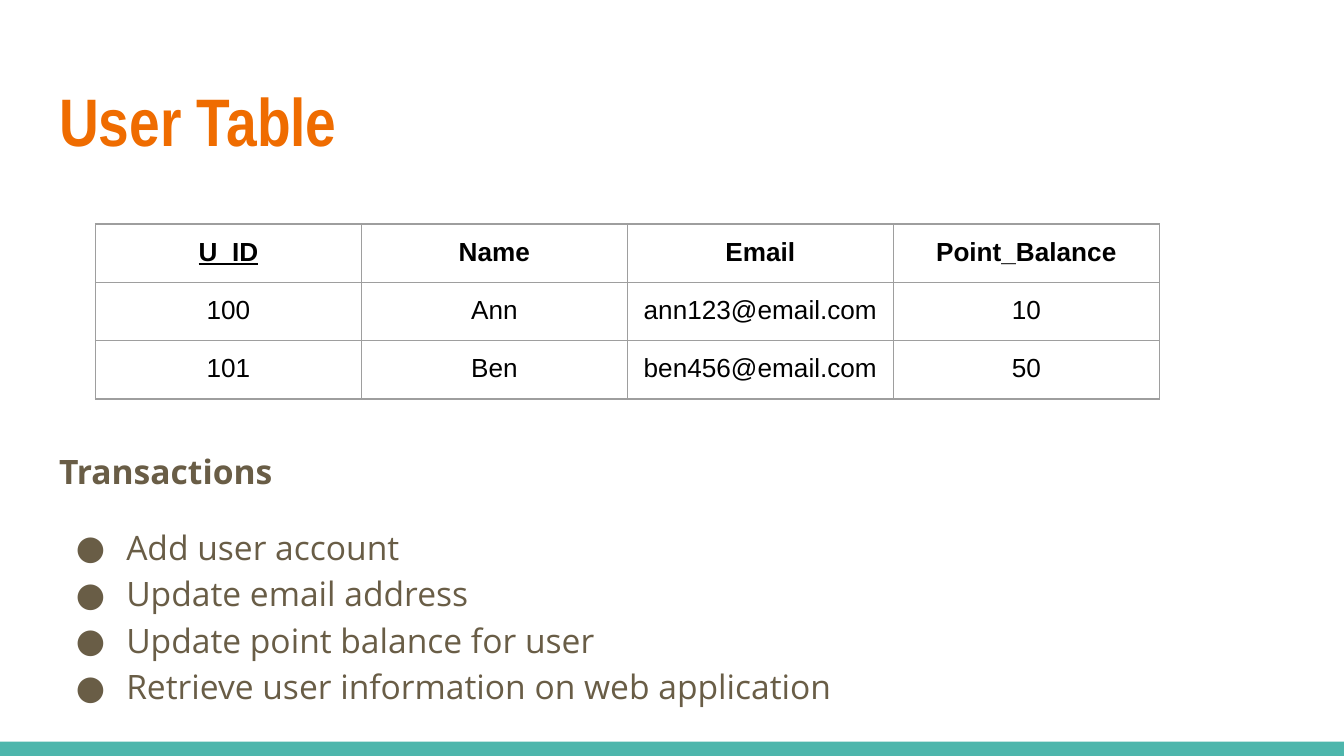
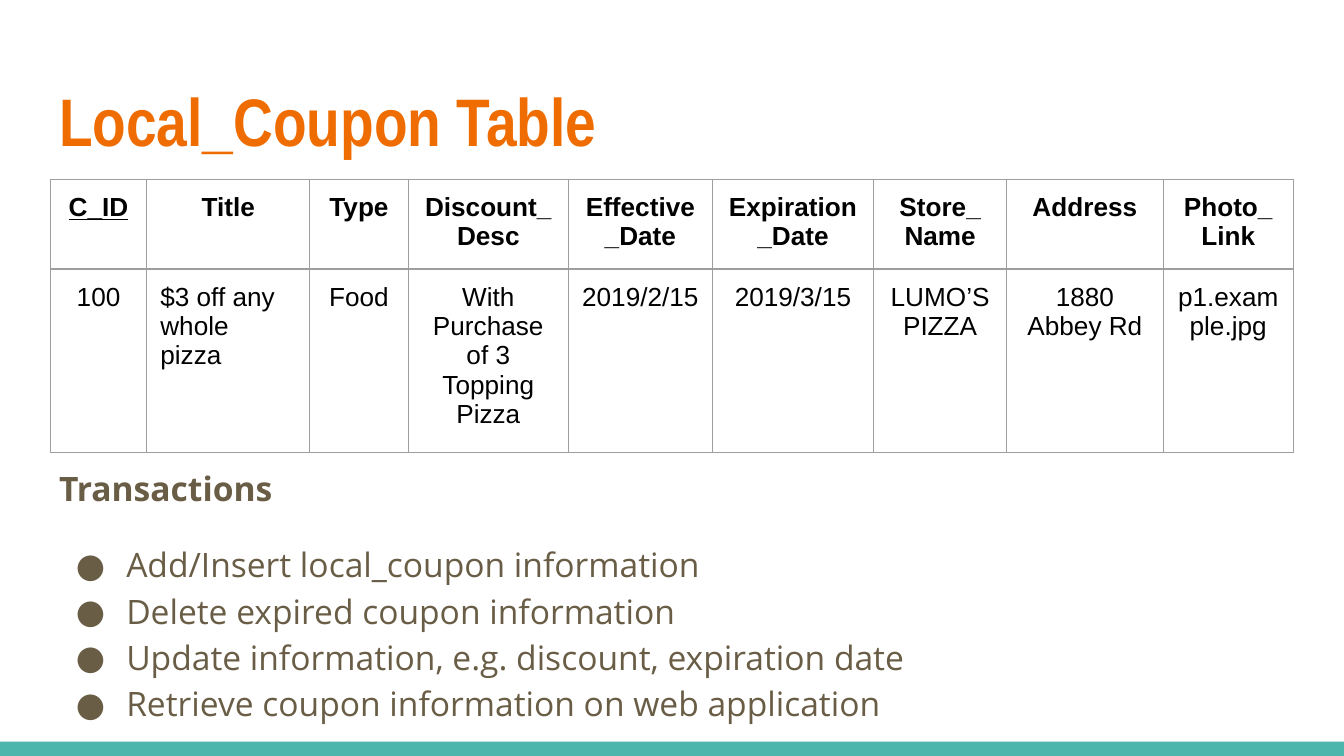
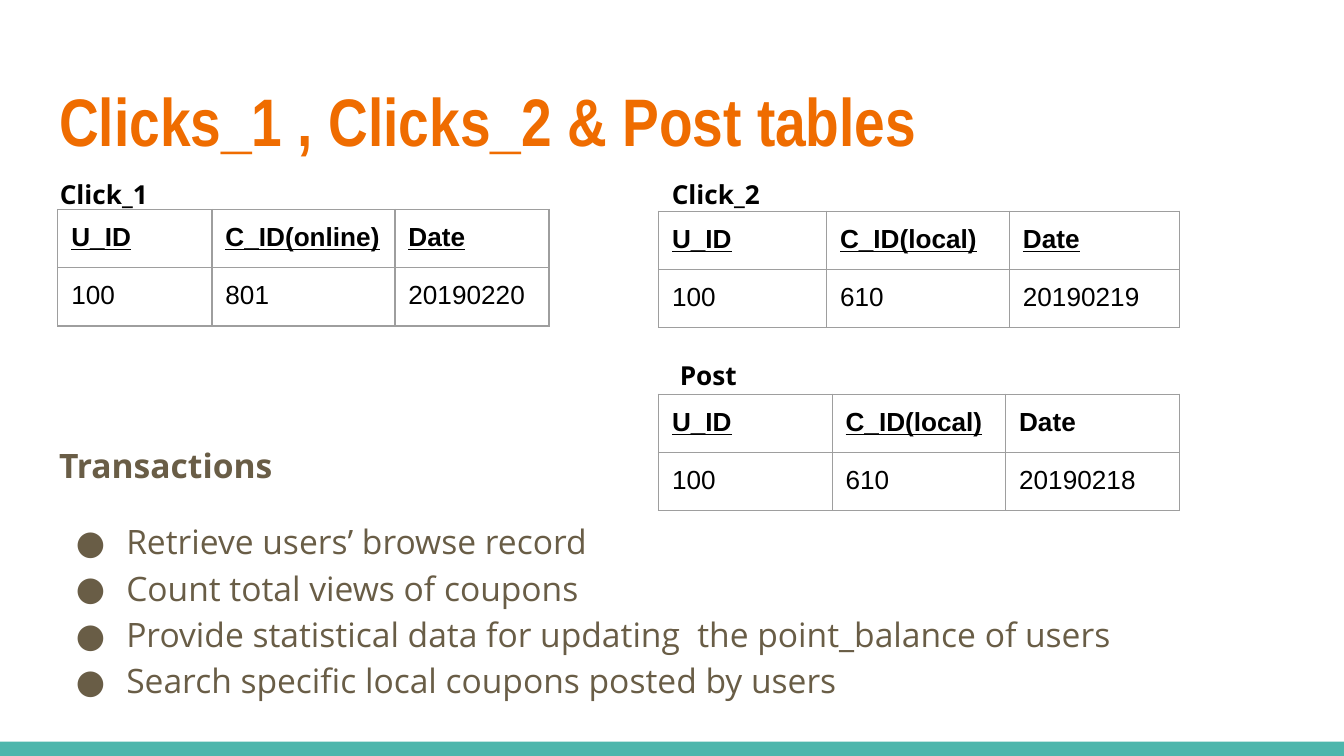
"""Build three slides on the coupon database tables and their transactions."""
from collections import namedtuple
from dataclasses import dataclass

from lxml import etree
from pptx import Presentation
from pptx.dml.color import RGBColor
from pptx.enum import shapes, text
from pptx.oxml import ns
from pptx.util import Pt

Box = namedtuple("Box", "x y w h")


@dataclass(frozen=True)
class Theme:
    """Hold the colours, fonts and sizes the slides share."""
    band: str = "4DB6AC"
    title: str = "EF6C00"
    body: str = "695D46"
    ink: str = "000000"
    rule: str = "9E9E9E"
    title_font: str = "Arial Narrow"
    body_font: str = "Open Sans"
    table_font: str = "Arial"
    title_size: int = 36
    body_size: int = 18
    small_size: int = 14
    inset: float = 7.2
    rule_width: float = 0.75
    row_height: float = 30.24


T = Theme()
PAGE = Box(0, 0, 720, 405)
TITLE = Box(24.55, 35.5, 671, 55.5)


def sub(parent, tag, **attrs):
    """Append a child element in the drawing namespace."""
    return etree.SubElement(parent, ns.qn(tag), attrs)


def style(p, font, size, color, bold=False, underline=False):
    """Format every run of a paragraph, in all scripts."""
    for r in p.runs:
        r.font.name, r.font.size = font, Pt(size)
        r.font.bold, r.font.underline = bold, underline
        r.font.color.rgb = RGBColor.from_string(color)
        for script in ("a:ea", "a:cs"):
            sub(r._r.get_or_add_rPr(), script, typeface=font)


def add_text(slide, box, content):
    """Add a wrapping text box and return its text frame."""
    tf = slide.shapes.add_textbox(*map(Pt, box)).text_frame
    tf.word_wrap = True
    tf.margin_left = tf.margin_right = Pt(T.inset)
    tf.margin_top = tf.margin_bottom = Pt(T.inset)
    tf.text = content
    return tf


def add_band(slide, box):
    """Draw the footer band along the bottom of the box."""
    height = 7.7
    sp = slide.shapes.add_shape(
        shapes.MSO_SHAPE.RECTANGLE, Pt(box.x), Pt(box.y + box.h - height), Pt(box.w), Pt(height))
    sp.shadow.inherit = False
    sp.fill.solid()
    sp.fill.fore_color.rgb = RGBColor.from_string(T.band)
    sp.line.fill.background()


def add_title(slide, box, content):
    """Write the slide title."""
    tf = add_text(slide, box, content)
    style(tf.paragraphs[0], T.title_font, T.title_size, T.title, bold=True)


def add_label(slide, box, content):
    """Write a small bold table caption."""
    tf = add_text(slide, box, content)
    style(tf.paragraphs[0], T.body_font, T.small_size, T.ink, bold=True)


def add_bullet(p):
    """Give a paragraph a hanging round bullet."""
    pPr = p._p.get_or_add_pPr()
    pPr.set("marL", str(Pt(36)))
    pPr.set("indent", str(-Pt(27)))
    sub(sub(pPr, "a:buClr"), "a:srgbClr", val=T.body)
    sub(pPr, "a:buFont", typeface=T.body_font)
    sub(pPr, "a:buChar", char="●")


def add_transactions(slide, box, items):
    """Write the Transactions heading and its bullet list."""
    tf = add_text(slide, box, "\n".join(["Transactions", *items]))
    for i, p in enumerate(tf.paragraphs):
        p.line_spacing = 1.15
        p.space_before = Pt(16 if i == 1 else 0)
        style(p, T.body_font, T.body_size, T.body, bold=i == 0)
        if i:
            add_bullet(p)


def format_cell(cell, align, bold, underline):
    """Set the borders, margins and type of a table cell."""
    tcPr = cell._tc.get_or_add_tcPr()
    for side in "LRTB":
        ln = sub(tcPr, f"a:ln{side}", w=str(Pt(T.rule_width)))
        sub(sub(ln, "a:solidFill"), "a:srgbClr", val=T.rule)
    cell.fill.background()
    cell.margin_left = cell.margin_right = Pt(T.inset)
    cell.margin_top = cell.margin_bottom = Pt(T.inset)
    for p in cell.text_frame.paragraphs:
        p.alignment = align
        p.line_spacing = 1.0
        style(p, T.table_font, T.small_size, T.ink, bold, underline)


def add_grid(slide, x, y, widths, rows, keys=1, centered=True, left=()):
    """Add a table whose first columns are underlined keys."""
    tbl = slide.shapes.add_table(
        len(rows), len(widths), Pt(x), Pt(y), Pt(sum(widths)), Pt(T.row_height * len(rows))).table
    tbl.first_row = tbl.horz_banding = False
    for col, width in zip(tbl.columns, widths):
        col.width = Pt(width)
    for i, row in enumerate(rows):
        tbl.rows[i].height = Pt(T.row_height)
        for j, value in enumerate(row):
            cell = tbl.cell(i, j)
            cell.text_frame.text = value
            center = centered and (i, j) not in left
            align = text.PP_ALIGN.CENTER if center else text.PP_ALIGN.LEFT
            format_cell(cell, align, i == 0, i == 0 and j < keys)


def add_captioned(slide, box, caption, dx, gap, widths, rows, keys):
    """Place a caption above a left-aligned table at the box's corner."""
    add_label(slide, Box(box.x + dx, box.y - gap, box.w, box.h), caption)
    add_grid(slide, box.x, box.y, widths, rows, keys, centered=False)


def new_slide(prs, title, title_box=TITLE):
    """Start a blank slide with its band and title."""
    slide = prs.slides.add_slide(prs.slide_layouts[6])
    add_band(slide, PAGE)
    add_title(slide, title_box, title)
    return slide


def user_slide(prs):
    """Build the User table slide."""
    slide = new_slide(prs, "User Table")
    add_transactions(slide, TITLE._replace(y=231, h=143), [
        "Add user account",
        "Update email address",
        "Update point balance for user",
        "Retrieve user information on web application",
    ])
    add_grid(slide, 51.1, 120, [142.5] * 4, [
        ["U_ID", "Name", "Email", "Point_Balance"],
        ["100", "Ann", "ann123@email.com", "10"],
        ["101", "Ben", "ben456@email.com", "50"],
    ])


def coupon_slide(prs):
    """Build the Local_Coupon table slide."""
    slide = new_slide(prs, "Local_Coupon Table", TITLE._replace(w=312))
    widths = [51.8, 87.3, 52.7, 85.9, 77.1, 86.4, 71.3, 83.8, 69.8]
    add_grid(slide, 26.9, 96, widths, [
        ["C_ID", "Title", "Type", "Discount_Desc", "Effective_Date", "Expiration_Date",
         "Store_\nName", "Address", "Photo_Link"],
        ["100", "$3 off any whole pizza", "Food", "With Purchase of 3 Topping Pizza",
         "2019/2/15", "2019/3/15", "LUMO’S\nPIZZA", "1880 Abbey Rd", "p1.example.jpg"],
    ], left={(1, 1)})
    add_transactions(slide, TITLE._replace(y=240.3, h=111), [
        "Add/Insert local_coupon information",
        "Delete expired coupon information",
        "Update information, e.g. discount, expiration date",
        "Retrieve coupon information on web application",
    ])


def clicks_slide(prs):
    """Build the slide of the two click tables and the post table."""
    slide = new_slide(prs, "Clicks_1 , Clicks_2 & Post tables")
    add_transactions(slide, TITLE._replace(y=228, h=155), [
        "Retrieve users’ browse record",
        "Count total views of coupons",
        "Provide statistical data for updating  the point_balance of users",
        "Search specific local coupons posted by users",
    ])
    tables = [
        (Box(31, 112.2, 98.6, 23.8), "Click_1", -6, 23.6, [82.6, 98, 82.6], 3,
         "C_ID(online)", ["100", "801", "20190220"]),
        (Box(352.8, 113.2, 73.4, 16.6), "Click_2", 0, 24.6, [90, 98, 91], 3,
         "C_ID(local)", ["100", "610", "20190219"]),
        (Box(352.8, 211.2, 69.1, 23.8), "Post", 4.3, 25.6, [93] * 3, 2,
         "C_ID(local)", ["100", "610", "20190218"]),
    ]
    for box, caption, dx, gap, widths, keys, coupon_key, record in tables:
        rows = [["U_ID", coupon_key, "Date"], record]
        add_captioned(slide, box, caption, dx, gap, widths, rows, keys)


def main():
    """Build and save the presentation."""
    prs = Presentation()
    prs.slide_width, prs.slide_height = Pt(PAGE.w), Pt(PAGE.h)
    for build in (user_slide, coupon_slide, clicks_slide):
        build(prs)
    prs.save("out.pptx")


if __name__ == "__main__":
    main()
